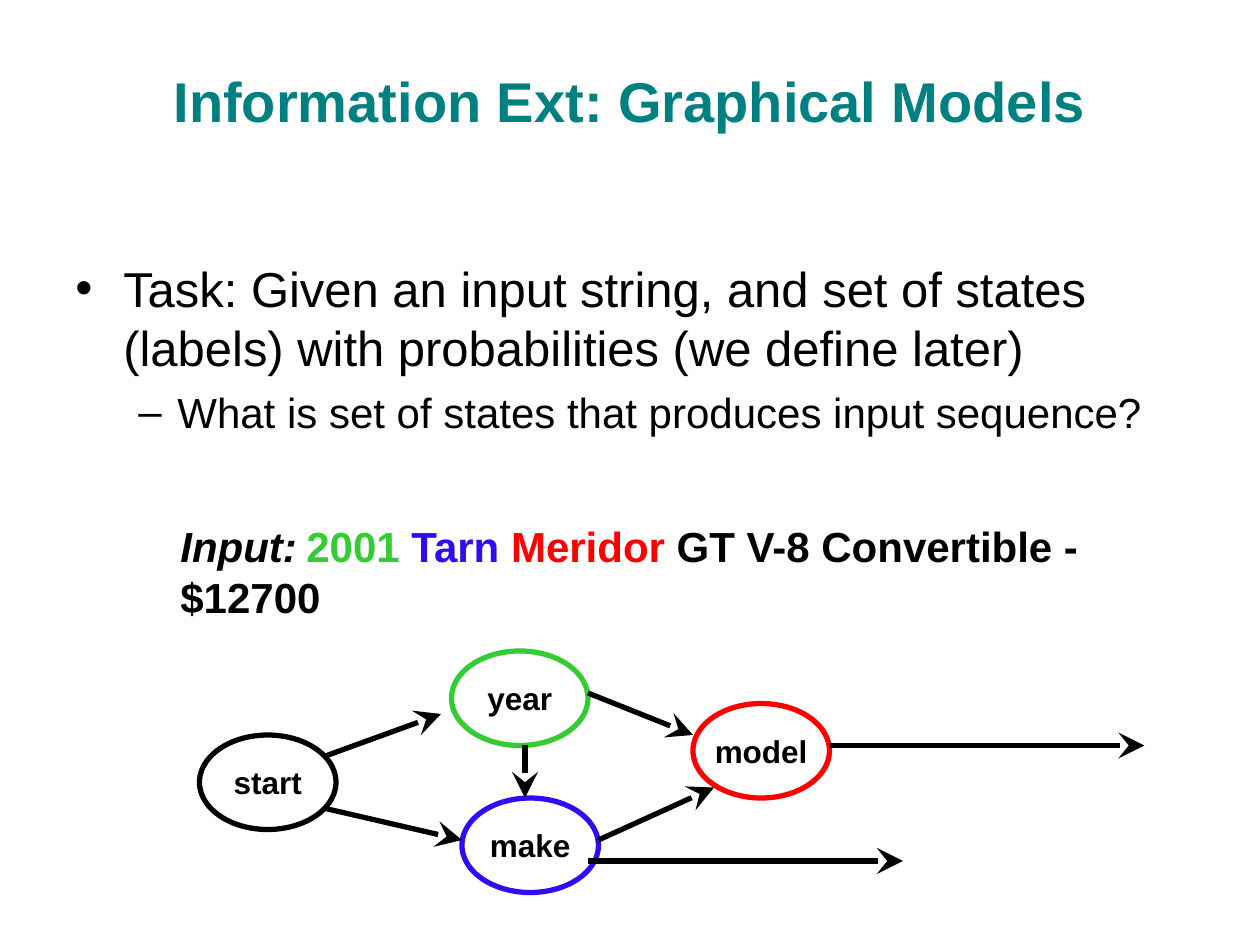
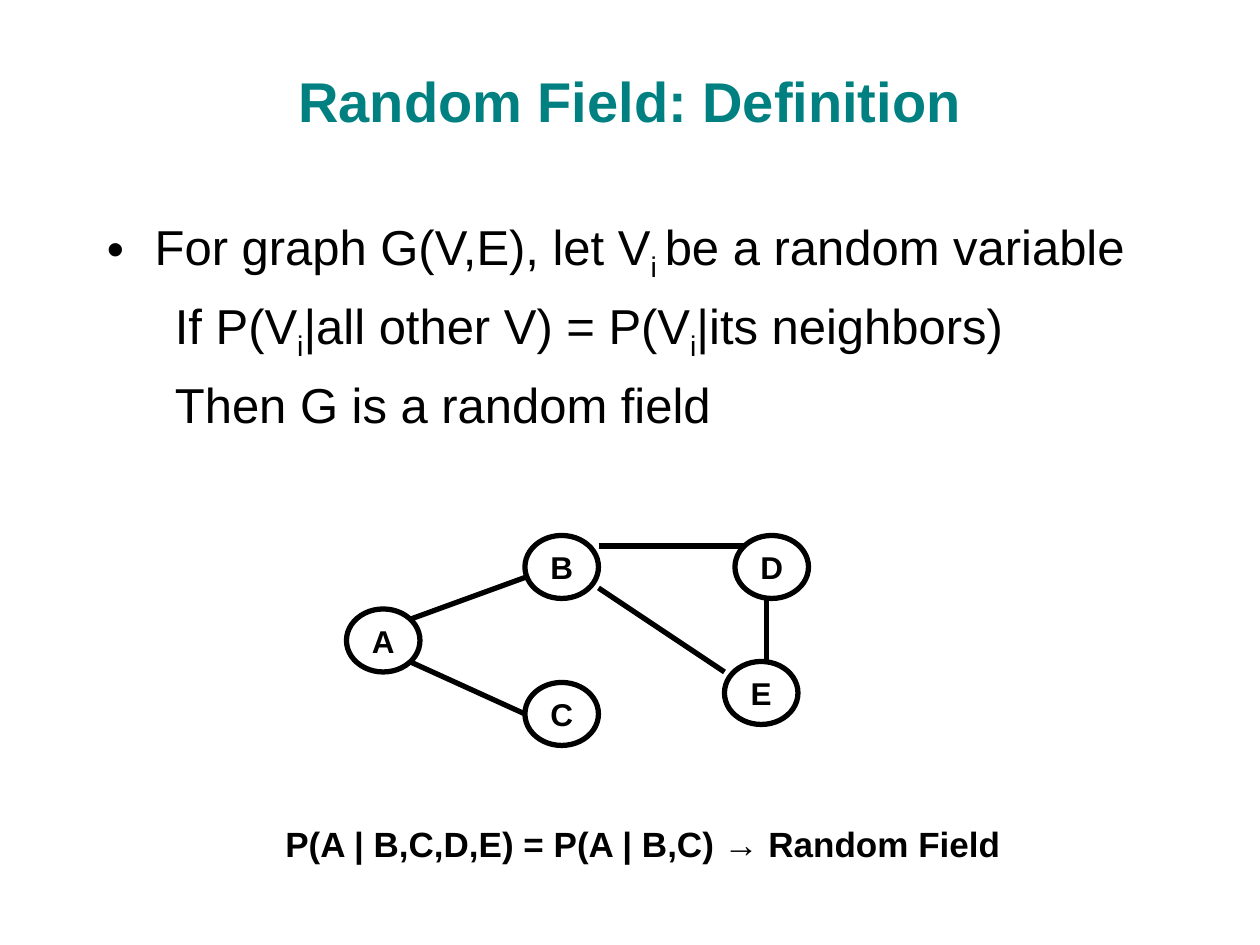
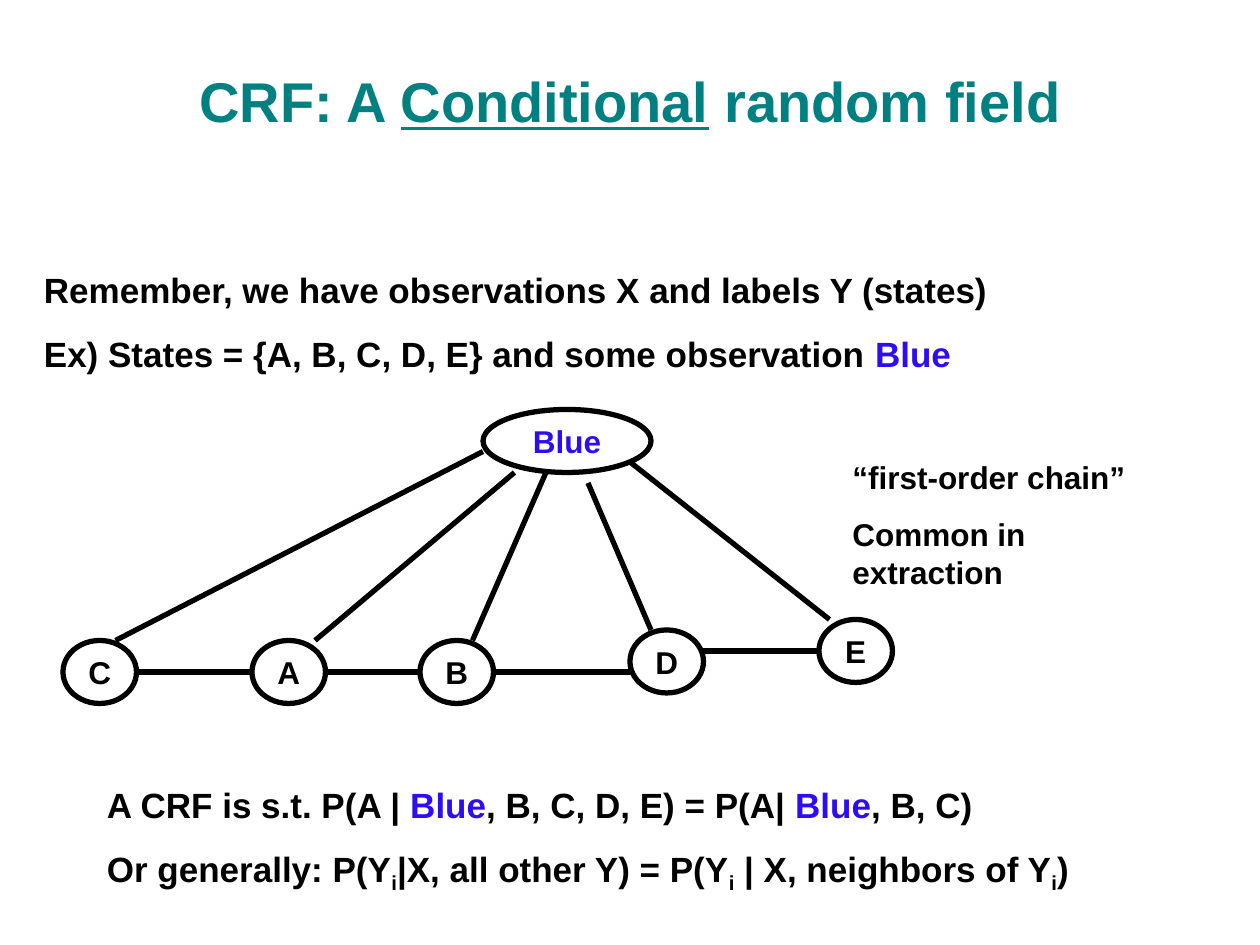
from lxml import etree
from pptx import Presentation
from pptx.dml.color import RGBColor
from pptx.enum.shapes import MSO_CONNECTOR, MSO_SHAPE
from pptx.enum.text import MSO_ANCHOR, PP_ALIGN
from pptx.oxml.ns import qn
from pptx.util import Inches, Pt

LEFT, CENTER = PP_ALIGN.LEFT, PP_ALIGN.CENTER
TOP, MIDDLE = MSO_ANCHOR.TOP, MSO_ANCHOR.MIDDLE
ELLIPSE, STRAIGHT = MSO_SHAPE.OVAL, MSO_CONNECTOR.STRAIGHT

COLORS = {"black": "000000", "teal": "008080", "green": "33CC33",
          "blue": "2E0DF3", "red": "FF0000"}
FONT = "Arial"
STROKE = Pt(3)
CELL = Inches(1) // 12  # the slide is a grid of 120 columns by 90 rows
COLUMNS, ROWS = 120, 90
TITLE_AREA = (4, 2, 112, 15)
STATE_SIZE = (13, 9)
VERTEX_SIZE = (7, 6)

# size, bold, colour, alignment, space before (pt), left margin, first indent, bullet
STYLES = {
    "title": (32, True, "teal", CENTER, 0, 0, 0, None),
    "point": (28, False, "black", LEFT, 7, 0.38, -0.38, "•"),
    "subpoint": (24, False, "black", LEFT, 6, 0.81, -0.31, "–"),
    "condition": (28, False, "black", LEFT, 7, 0.54, 0, None),
    "input": (24, True, "black", LEFT, 15, 0, 0, None),
    "formula": (20, True, "black", LEFT, 12.5, 0, 0, None),
    "remark": (18, True, "black", LEFT, 11.2, 0, 0, None),
    "node": (18, True, "black", CENTER, 0, 0, 0, None),
}
INPUT_TAB = 1.11

# texts: (area, paragraphs); a paragraph is a style and its spans,
# and a span is plain text or (text, mark).
# nodes: (label, left, top, size, outline, label mark)
# links: (from column, from row, to column, to row)
PAGES = [
    {
        "title": ["Information Ext: Graphical Models"],
        "texts": [
            ((6, 24, 111, 56), [
                ("point", ["Task: Given an input string, and set of states "
                           "(labels) with probabilities (we define later)"]),
                ("subpoint", ["What is set of states that produces input sequence?"]),
            ]),
            ((16, 49, 95, 11), [
                ("input", [("Input:\t", "italic"), ("2001 ", "green"), ("Tarn ", "blue"),
                           ("Meridor", "red"), " GT V-8 Convertible - $12700"]),
            ]),
        ],
        "nodes": [
            ("start", 19, 70, STATE_SIZE, "black", None),
            ("year", 43, 62, STATE_SIZE, "green", None),
            ("make", 44, 76, STATE_SIZE, "blue", None),
            ("model", 66, 67, STATE_SIZE, "red", None),
        ],
        "links": [(31, 72, 42, 68), (31, 77, 44, 80), (57, 80, 68, 75),
                  (56, 82, 86, 82), (79, 71, 109, 71), (56, 66, 66, 70),
                  (50, 71, 50, 76)],
        "arrows": True,
    },
    {
        "title": ["Random Field: Definition"],
        "texts": [
            ((9, 20, 102, 60), [
                ("point", ["For graph G(V,E), let V", ("i ", "sub"),
                           "be a random variable"]),
                ("condition", ["If P(V", ("i", "sub"), "|all other V) = P(V",
                               ("i", "sub"), "|its neighbors)"]),
                ("condition", ["Then G is a random field"]),
            ]),
            ((26, 77.75, 90, 5.25), [
                ("formula", ["P(A | B,C,D,E) = P(A | B,C) → Random Field"]),
            ]),
        ],
        "nodes": [
            ("B", 50, 51, VERTEX_SIZE, "black", None),
            ("C", 50, 65, VERTEX_SIZE, "black", None),
            ("A", 33, 58, VERTEX_SIZE, "black", None),
            ("D", 70, 51, VERTEX_SIZE, "black", None),
            ("E", 69, 63, VERTEX_SIZE, "black", None),
        ],
        "links": [(57, 56, 69, 64), (73, 57, 73, 63), (57, 52, 71, 52),
                  (39, 63, 50, 68), (39, 59, 50, 55)],
        "arrows": False,
    },
    {
        "title": ["CRF: A ", ("Conditional", "underline"), " random field"],
        "texts": [
            ((3, 25, 112, 11.25), [
                ("formula", ["Remember, we have observations X and labels Y (states)"]),
                ("formula", ["Ex) States = {A, B, C, D, E} and some observation ",
                             ("Blue", "blue")]),
            ]),
            ((9, 74, 96, 12), [
                ("formula", ["A CRF is s.t. P(A | ", ("Blue", "blue"),
                             ", B, C, D, E) = P(A| ", ("Blue", "blue"), ", B, C)"]),
                ("formula", ["Or generally: P(Y", ("i", "sub"), "|X, all other Y) = P(Y",
                             ("i", "sub"), " | X, neighbors of Y", ("i", "sub"), ")"]),
            ]),
            ((80, 43, 32, 14), [
                ("remark", ["“first-order chain”"]),
                ("remark", ["Common in extraction"]),
            ]),
        ],
        "nodes": [
            ("Blue", 46, 39, (16, 6), "black", "blue"),
            ("B", 40, 61, VERTEX_SIZE, "black", None),
            ("C", 6, 61, VERTEX_SIZE, "black", None),
            ("A", 24, 61, VERTEX_SIZE, "black", None),
            ("D", 60, 60, VERTEX_SIZE, "black", None),
            ("E", 78, 59, VERTEX_SIZE, "black", None),
        ],
        "links": [(47, 64, 60, 64), (67, 62, 78, 62), (13, 64, 24, 64), (31, 64, 40, 64),
                  (30, 61, 49, 45), (11, 61, 46, 43), (45, 61, 52, 45),
                  (60, 44, 79, 59), (62, 60, 56, 46)],
        "arrows": False,
    },
]


def cells(*counts):
    return [round(count * CELL) for count in counts]


def write(frame, paragraphs, anchor=TOP, wrap=True):
    """Fill a text frame with styled paragraphs."""
    frame.word_wrap = wrap
    frame.vertical_anchor = anchor
    for index, (style, spans) in enumerate(paragraphs):
        size, bold, color, align, space, margin, indent, bullet = STYLES[style]
        para = frame.add_paragraph() if index else frame.paragraphs[0]
        para.alignment = align
        para.space_before = Pt(space if index else 0)
        settings = para._p.get_or_add_pPr()
        settings.set("marL", str(Inches(margin)))
        settings.set("indent", str(Inches(indent)))
        if bullet:
            etree.SubElement(settings, qn("a:buFont"), typeface=FONT)
            etree.SubElement(settings, qn("a:buChar"), char=bullet)
        else:
            etree.SubElement(settings, qn("a:buNone"))
        if style == "input":
            tabs = etree.SubElement(settings, qn("a:tabLst"))
            etree.SubElement(tabs, qn("a:tab"), pos=str(Inches(INPUT_TAB)), algn="l")
        para.font.name = FONT
        para.font.size = Pt(size)
        para.font.bold = bold
        para.font.color.rgb = RGBColor.from_string(COLORS[color])
        for item in spans:
            text, mark = (item, None) if isinstance(item, str) else item
            span = para.add_run()
            span.text = text
            if mark in COLORS:
                span.font.color.rgb = RGBColor.from_string(COLORS[mark])
            elif mark == "italic":
                span.font.italic = True
            elif mark == "underline":
                span.font.underline = True
            elif mark == "sub":
                span.font._element.set("baseline", "-25000")


deck = Presentation()
deck.slide_width, deck.slide_height = cells(COLUMNS, ROWS)
blank = deck.slide_layouts[6]

for content in PAGES:
    page = deck.slides.add_slide(blank)
    title = page.shapes.add_textbox(*cells(*TITLE_AREA))
    write(title.text_frame, [("title", content["title"])], MIDDLE)

    for area, paragraphs in content["texts"]:
        box = page.shapes.add_textbox(*cells(*area))
        write(box.text_frame, paragraphs)

    for label, left, top, size, outline, mark in content["nodes"]:
        node = page.shapes.add_shape(ELLIPSE, *cells(left, top, *size))
        node.shadow.inherit = False
        node.fill.background()
        node.line.width = STROKE
        node.line.color.rgb = RGBColor.from_string(COLORS[outline])
        write(node.text_frame, [("node", [(label, mark)])], MIDDLE, wrap=False)

    for ends in content["links"]:
        link = page.shapes.add_connector(STRAIGHT, *cells(*ends))
        link.line.width = STROKE
        link.line.color.rgb = RGBColor.from_string(COLORS["black"])
        outline = link._element.spPr
        if content["arrows"]:
            etree.SubElement(outline.find(qn("a:ln")), qn("a:tailEnd"),
                             type="stealth", w="lg", len="lg")
        etree.SubElement(outline, qn("a:effectLst"))

deck.save("out.pptx")
